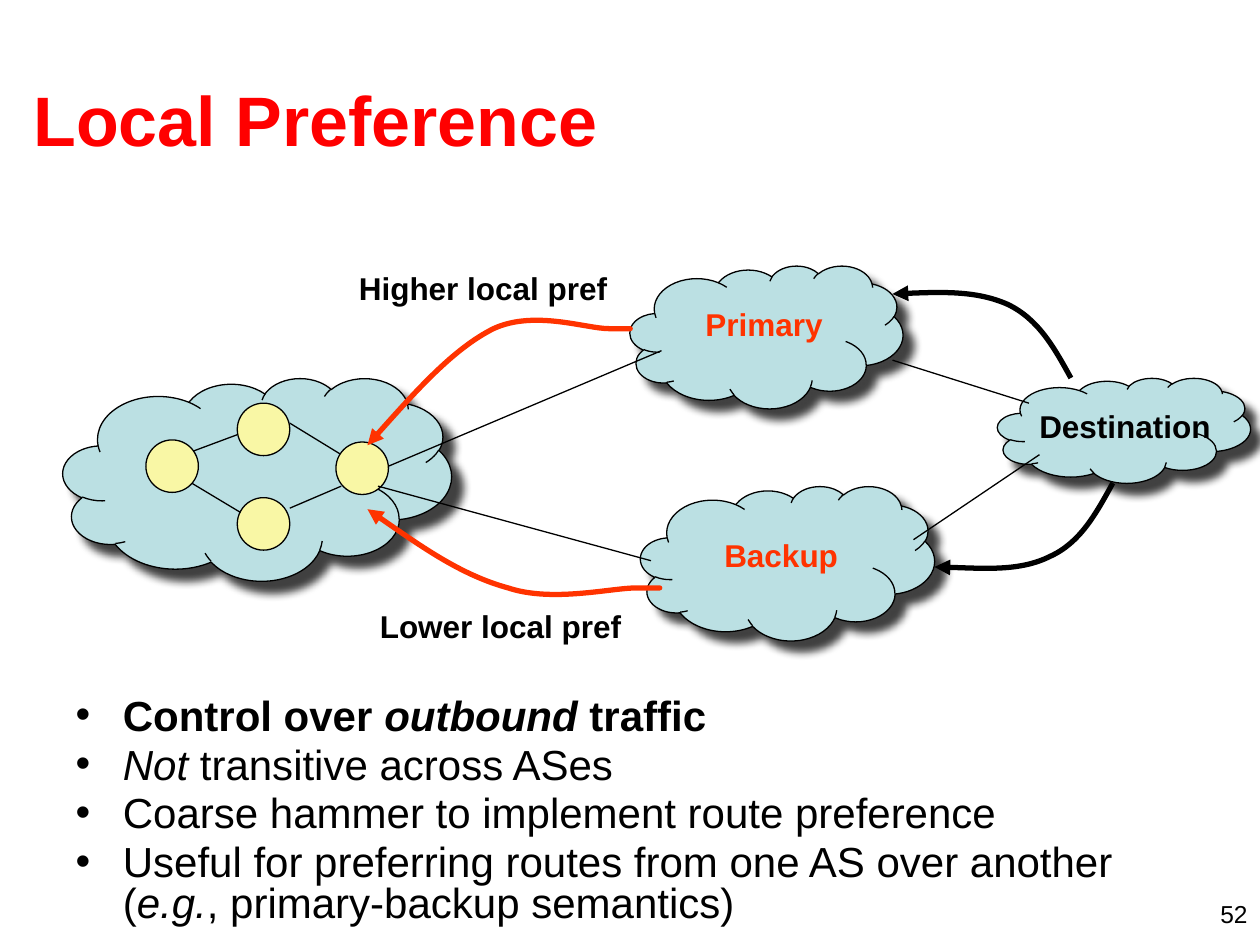
from lxml import etree
from pptx import Presentation, util as u
from pptx.dml.color import RGBColor
from pptx.enum import shapes as sh, text as tx
from pptx.oxml.ns import qn

BLACK = RGBColor(0x00, 0x00, 0x00)
RED = RGBColor(0xFF, 0x00, 0x00)
FLAME = RGBColor(0xFF, 0x33, 0x00)
SKY = RGBColor(0xBB, 0xE0, 0xE3)
CREAM = RGBColor(0xF9, 0xF7, 0xA5)

COLS, ROWS = 120, 90
CELL = u.Inches(10) / COLS
THIN, THICK = u.Pt(0.75), u.Pt(3)

CLOUDS = [(0, 11, 37, 19.3), (54, 0.3, 26, 13.6),
          (55, 21.3, 28, 14.7), (89, 11, 24.1, 10)]
NODE = 5
BACK_NODES = [(16.6, 13.4), (16.6, 22.4)]
FRONT_NODES = [(26, 17.1), (7.9, 16.9)]
INNER = [(11.5, 18.3, 16.6, 16.4), (21.6, 23.4, 26.5, 21.3),
         (11.9, 20.8, 16.9, 23.8), (21.6, 15.3, 26.5, 18.3)]
OUTER = [(31, 19.4, 57, 8.4), (30, 21.3, 56, 28.4),
         (79, 9.3, 92, 13.4), (81, 26.4, 93, 18.3)]
ROUTES = [
    (FLAME, [(54, 6.3), (54.1, 6.3), (54.1, 6.3), (52, 6.3), (49.8, 6.3),
             (44.9, 4.5), (41, 6.3), (37.2, 8.2), (33.1, 12.8), (29, 17.4)]),
    (FLAME, [(56.8, 31), (56.9, 31), (57, 31), (54.6, 31), (52.2, 31),
             (46.6, 32.4), (42.4, 31), (38, 29.8), (33.6, 26.7), (29, 23.5)]),
    (BLACK, [(96, 11), (94.4, 8.1), (92.9, 5.4), (90, 4),
             (87.1, 2.7), (83, 2.8), (79, 3)]),
    (BLACK, [(100, 21), (98.4, 23.9), (96.9, 26.7), (94, 28),
             (91.2, 29.4), (87.1, 29.1), (83, 29)]),
]
LABELS = [("Primary", FLAME, (60, 3.5, 13.6, 4.8)),
          ("Backup", FLAME, (61.8, 25.5, 13.2, 4.8)),
          ("Higher local pref", BLACK, (27, 0, 30, 4.8)),
          ("Lower local pref", BLACK, (29, 32.2, 30, 4.8)),
          ("Destination", BLACK, (91.8, 13.2, 18.7, 4.8))]
POINTS = [
    [("Control over ", True, False), ("outbound", True, True),
     (" traffic", True, False)],
    [("Not", False, True), (" transitive across ASes", False, False)],
    [("Coarse hammer to implement route preference", False, False)],
    [("Useful for preferring routes from one AS over another (", False, False),
     ("e.g.", False, True), (", primary-backup semantics)", False, False)],
]


def emu(*cells):
    return [round(c * CELL) for c in cells]


def place(item, box):
    item.left, item.top, item.width, item.height = emu(*box)


def shift(box, part):
    return (box[0] + part[0], box[1] + part[1], *part[2:])


def add_run(para, words, size, color, bold=False, slant=False):
    run = para.add_run()
    run.text = words
    font = run.font
    font.name, font.size = "Arial", u.Pt(size)
    font.bold, font.italic = bold, slant
    font.color.rgb = color


def add_text(slide, box, words, size, color, bold=False, wrap=False):
    frame = slide.shapes.add_textbox(*emu(*box)).text_frame
    frame.word_wrap = wrap
    add_run(frame.paragraphs[0], words, size, color, bold)
    return frame.paragraphs[0]


def add_form(parent, kind, box, fill):
    form = parent.add_shape(kind, *emu(*box))
    form.shadow.inherit = False
    form.fill.solid()
    form.fill.fore_color.rgb = fill
    form.line.color.rgb = BLACK
    form.line.width = THIN
    return form


def add_cloud(slide, box):
    cloud = add_form(slide.shapes, sh.MSO_SHAPE.CLOUD, box, SKY)
    glow = etree.SubElement(
        cloud._element.spPr.find(qn("a:effectLst")), qn("a:outerShdw"),
        blurRad=str(u.Pt(5)), dist=str(u.Pt(8.5)), dir=str(45 * 60000),
        algn="ctr", rotWithShape="0")
    tint = etree.SubElement(glow, qn("a:srgbClr"), val=str(BLACK))
    etree.SubElement(tint, qn("a:alpha"), val="75000")


def add_link(parent, box, ends):
    start, end = shift(box, ends[:2]), shift(box, ends[2:])
    link = parent.add_connector(sh.MSO_CONNECTOR.STRAIGHT, *emu(*start, *end))
    link.line.color.rgb = BLACK
    link.line.width = THIN
    etree.SubElement(link._element.spPr, qn("a:effectLst"))


def add_route(slide, box, color, dots):
    first, *rest = [emu(*shift(box, dot)) for dot in dots]
    pen = slide.shapes.build_freeform(*first)
    pen.add_line_segments(rest, close=False)
    route = pen.convert_to_shape()
    route.shadow.inherit = False
    route.fill.background()
    route.line.color.rgb = color
    route.line.width = THICK
    props = route._element.spPr
    etree.SubElement(props.find(qn("a:ln")), qn("a:tailEnd"), type="triangle")
    legs = list(props.iter(qn("a:lnTo")))
    for i in range(0, len(legs), 3):
        curve = etree.SubElement(legs[i].getparent(), qn("a:cubicBezTo"))
        for leg in legs[i:i + 3]:
            curve.append(leg[0])
            leg.getparent().remove(leg)


def add_mesh(slide, box):
    mesh = slide.shapes.add_group_shape().shapes

    def add_nodes(spots):
        for spot in spots:
            add_form(mesh, sh.MSO_SHAPE.OVAL,
                     (*shift(box, spot), NODE, NODE), CREAM)

    add_nodes(BACK_NODES)
    for ends in INNER:
        add_link(mesh, box, ends)
    add_nodes(FRONT_NODES)


def add_net(slide, box):
    for part in CLOUDS:
        add_cloud(slide, shift(box, part))
    add_mesh(slide, box)
    for ends in OUTER:
        add_link(slide.shapes, box, ends)
    for color, dots in ROUTES:
        add_route(slide, box, color, dots)
    for words, color, part in LABELS:
        add_text(slide, shift(box, part), words, 18, color, bold=True)


def add_title(slide, box):
    title = slide.shapes.title
    place(title, box)
    frame = title.text_frame
    frame.auto_size = tx.MSO_AUTO_SIZE.NONE
    frame.vertical_anchor = tx.MSO_ANCHOR.MIDDLE
    para = frame.paragraphs[0]
    para.alignment = tx.PP_ALIGN.LEFT
    add_run(para, "Local Preference", 40, RED, bold=True)


def add_list(slide, box):
    body = slide.placeholders[1]
    place(body, box)
    frame = body.text_frame
    frame.auto_size = tx.MSO_AUTO_SIZE.NONE
    for i, runs in enumerate(POINTS):
        para = frame.add_paragraph() if i else frame.paragraphs[0]
        para.line_spacing = 0.8
        para.space_before = u.Pt(4.8 if i else 0)
        for words, bold, slant in runs:
            add_run(para, words, 24, BLACK, bold, slant)


def add_page(slide, box):
    para = add_text(slide, box, "52", 14, BLACK, wrap=True)
    para.alignment = tx.PP_ALIGN.RIGHT


def main():
    deck = Presentation()
    deck.slide_width, deck.slide_height = emu(COLS, ROWS)
    slide = deck.slides.add_slide(deck.slide_layouts[1])
    add_page(slide, (92, 85, 28, 3))
    add_title(slide, (2, 3.8, 115, 15))
    add_list(slide, (6, 66, 108, 23.4))
    add_net(slide, (6, 25))
    deck.save("out.pptx")


if __name__ == "__main__":
    main()
